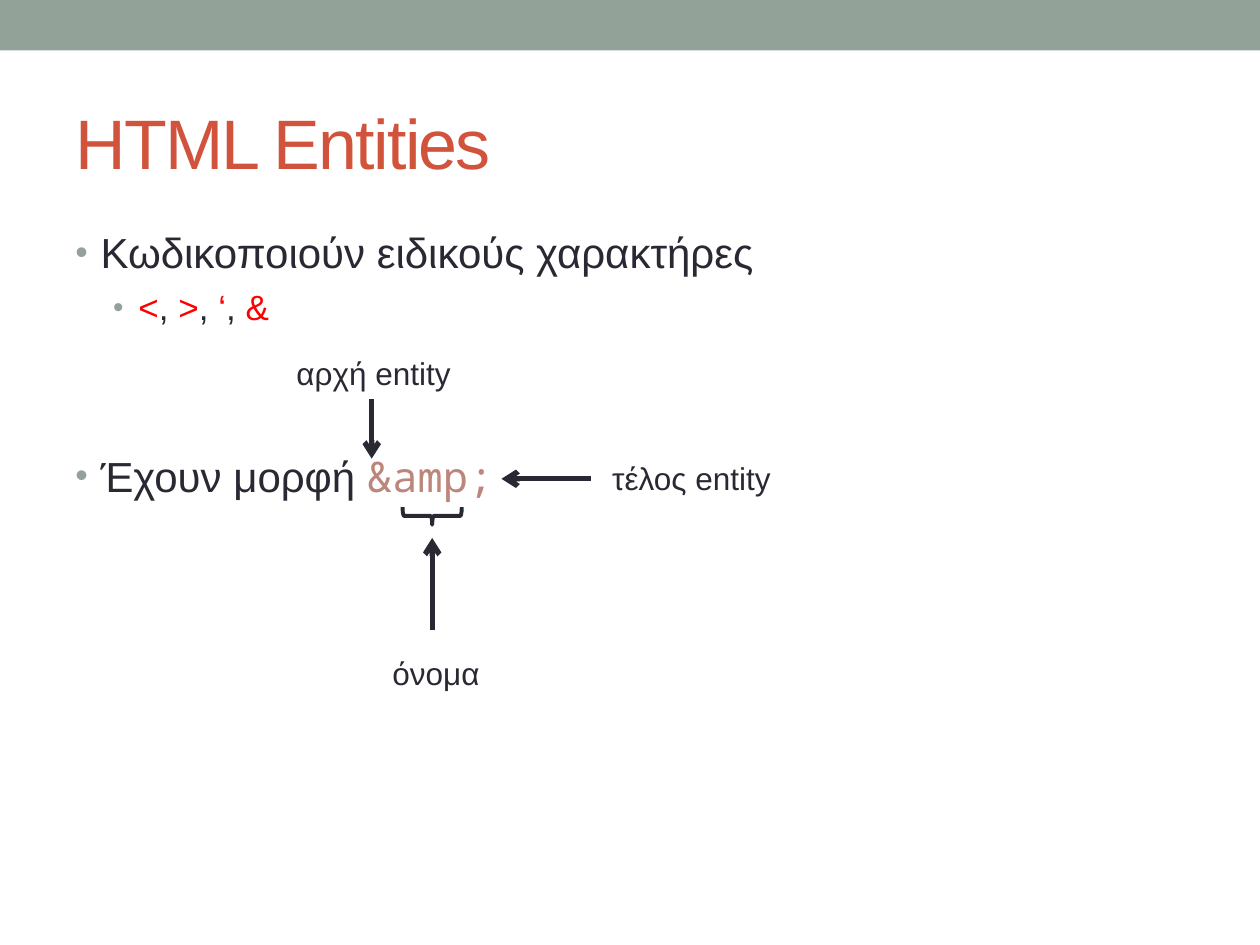
import pptx
import pptx.util
import pptx.dml.color
import pptx.enum.shapes
import pptx.enum.text
import pptx.oxml
import pptx.oxml.ns

Inches, Pt = pptx.util.Inches, pptx.util.Pt
RGBColor = pptx.dml.color.RGBColor
SHAPE = pptx.enum.shapes.MSO_SHAPE
ALIGN = pptx.enum.text.PP_ALIGN
ANCHOR = pptx.enum.text.MSO_ANCHOR

SAGE = RGBColor(0x93, 0xA2, 0x99)
BRICK = RGBColor(0xD2, 0x53, 0x3C)
INK = RGBColor(0x29, 0x29, 0x34)
RED = RGBColor(0xFF, 0x00, 0x00)
ROSE = RGBColor(0xBD, 0x86, 0x7C)
SANS, MONO = "Arial", "Noto Sans Mono"

TITLE = "HTML Entities"
# left margin (in), size (pt), space before (pt), runs of (text, colour, font)
BULLETS = [
    (0.2, 24, 4.8, [("Κωδικοποιούν ειδικούς χαρακτήρες", INK, SANS)]),
    (0.5, 20, 5, [("<", RED, SANS), (", ", INK, SANS), (">", RED, SANS),
                  (", ", INK, SANS), ("‘", RED, SANS), (", ", INK, SANS),
                  ("&", RED, SANS)]),
    (0.2, 24, 70, [("Έχουν μορφή ", INK, SANS), ("&amp;", ROSE, MONO)]),
]
# text, box, alignment
LABELS = [
    ("όνομα", (2.95, 5.14, 1.02, 0.4), ALIGN.CENTER),
    ("αρχή entity", (2.09, 2.76, 1.75, 0.4), ALIGN.CENTER),
    ("τέλος entity", (4.76, 3.59, 1.75, 0.4), ALIGN.LEFT),
]
# start x, y, end x, y
ARROWS = [
    (2.95, 3.17, 2.95, 3.64),
    (3.43, 5, 3.43, 4.27),
    (4.69, 3.8, 3.98, 3.8),
]


def xml(tag, content=""):
    return pptx.oxml.parse_xml(
        f'<a:{tag} {pptx.oxml.ns.nsdecls("a")}>{content}</a:{tag.split()[0]}>')


def add_run(paragraph, text, size, color, font=SANS):
    run = paragraph.add_run()
    run.text = text
    run.font.size = Pt(size)
    run.font.name = font
    run.font.color.rgb = color
    return run


def add_text_frame(slide, box):
    frame = slide.shapes.add_textbox(*map(Inches, box)).text_frame
    frame.word_wrap = True
    return frame


def set_bullet(paragraph, margin):
    properties = paragraph._p.get_or_add_pPr()
    properties.set("marL", str(Inches(margin)))
    properties.set("indent", str(Inches(-0.2)))
    properties.append(xml("buClr", f'<a:srgbClr val="{SAGE}"/>'))
    properties.append(xml('buSzPct val="85000"'))
    properties.append(xml('buFont typeface="Arial"'))
    properties.append(xml('buChar char="•"'))


def add_arrow(slide, ends):
    arrow = slide.shapes.add_connector(
        pptx.enum.shapes.MSO_CONNECTOR.STRAIGHT, *map(Inches, ends))
    arrow.line.color.rgb = INK
    arrow.line.width = Pt(3)
    arrow.line._get_or_add_ln().append(xml('tailEnd type="arrow"'))
    arrow._element.spPr.append(xml("effectLst"))


def main():
    deck = pptx.Presentation()
    deck.slide_width, deck.slide_height = Inches(10), Inches(7.5)
    slide = deck.slides.add_slide(deck.slide_layouts[6])

    band = slide.shapes.add_shape(SHAPE.RECTANGLE, 0, 0, Inches(10), Inches(0.4))
    band.shadow.inherit = False
    band.fill.solid()
    band.fill.fore_color.rgb = SAGE
    band.line.fill.background()

    title = add_text_frame(slide, (0.5, 0.58, 9, 1.08))
    title.vertical_anchor = ANCHOR.MIDDLE
    heading = add_run(title.paragraphs[0], TITLE, 40, BRICK)
    heading.font._element.set("spc", "-100")

    body = add_text_frame(slide, (0.5, 1.75, 9, 5.33))
    for index, (margin, size, space, runs) in enumerate(BULLETS):
        paragraph = body.add_paragraph() if index else body.paragraphs[0]
        paragraph.space_before = Pt(space)
        set_bullet(paragraph, margin)
        for text, color, font in runs:
            add_run(paragraph, text, size, color, font)

    for ends in ARROWS:
        add_arrow(slide, ends)

    brace = slide.shapes.add_shape(
        SHAPE.RIGHT_BRACE, *map(Inches, (3.36, 3.86, 0.14, 0.47)))
    brace.rotation = 90
    brace.shadow.inherit = False
    brace.fill.background()
    brace.line.color.rgb = INK
    brace.line.width = Pt(2.25)

    for text, box, alignment in LABELS:
        label = add_text_frame(slide, box).paragraphs[0]
        label.alignment = alignment
        add_run(label, text, 18, INK)

    deck.save("out.pptx")


if __name__ == "__main__":
    main()
